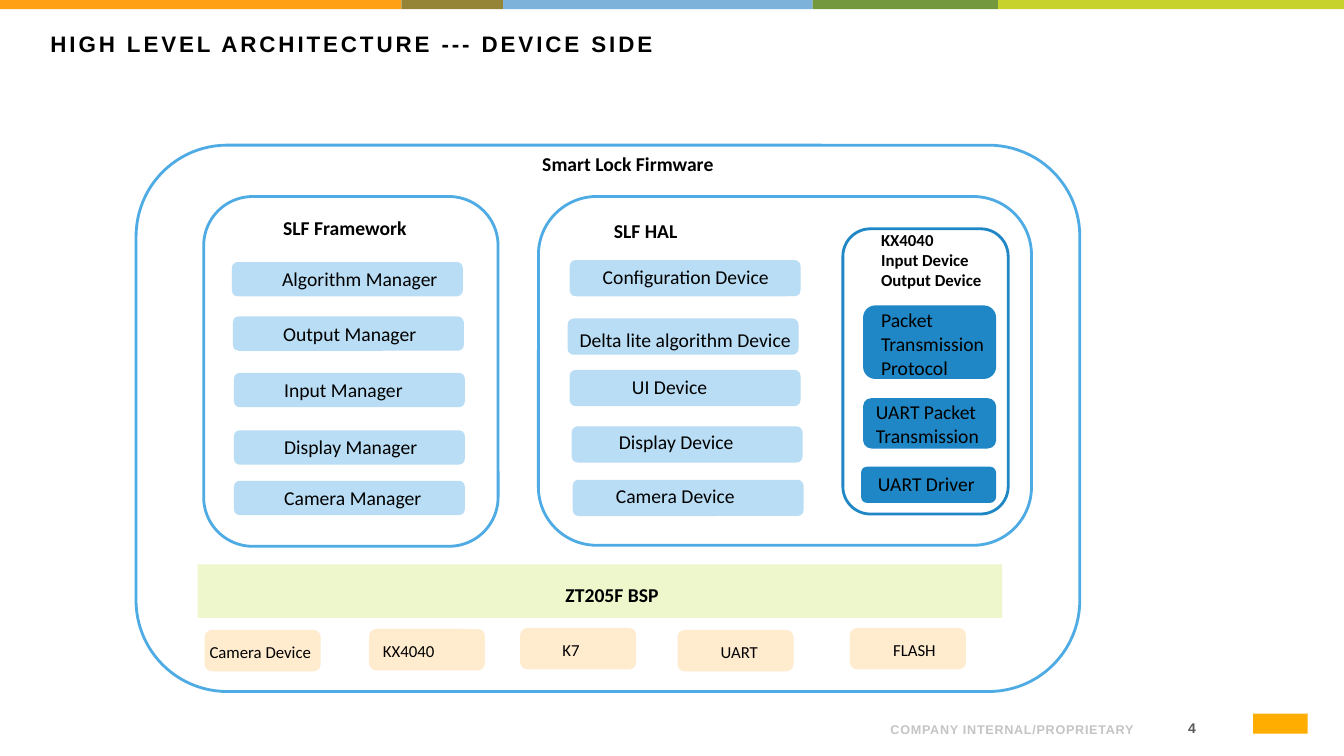
from copy import deepcopy

from pptx import Presentation
from pptx import util as u
from pptx.dml.color import RGBColor
from pptx.enum import shapes, text
from pptx.oxml.ns import qn

COLORS = {
    "black": "000000", "white": "FFFFFF", "number": "595959", "footer": "C4C4C4",
    "orange": "FFA015", "brown": "958436", "steel": "7DB2DB", "green": "73983E",
    "lime": "C7D22D", "mark": "FFAD00", "outline": "4FABE3", "deep": "2087C6",
    "sky": "B9DDF4", "peach": "FFEBCE", "pale": "EEF7CC",
}
RECT = shapes.MSO_SHAPE.RECTANGLE
ROUND = shapes.MSO_SHAPE.ROUNDED_RECTANGLE


def rgb(name):
    return RGBColor.from_string(COLORS[name])


def write(tf, content, size=14, font="Calibri", color="black", bold=False,
          align=text.PP_ALIGN.LEFT, anchor=text.MSO_ANCHOR.TOP, before=0, spacing=0):
    """Fill a text frame with one formatted paragraph; newlines become line breaks."""
    tf.word_wrap = True
    tf.auto_size = text.MSO_AUTO_SIZE.NONE
    tf.vertical_anchor = anchor
    p = tf.paragraphs[0]
    p.text = content
    p.alignment = align
    p.space_before = u.Pt(before)
    for r in p.runs:
        r.font.size, r.font.name, r.font.bold = u.Pt(size), font, bold
        r.font.color.rgb = rgb(color)
        if spacing:
            r.font._element.set("spc", str(round(spacing * 100)))
    # Line breaks take the format of the runs
    for br in p._p.findall(qn("a:br")):
        br.append(deepcopy(p.runs[0].font._element))


class Deck:
    def __init__(self):
        self.prs = Presentation()
        self.prs.slide_width, self.prs.slide_height = u.Inches(13.33), u.Inches(7.5)
        self.s = self.prs.slides.add_slide(self.prs.slide_layouts[5])

    def title(self, content, x, y, w, h):
        sp = self.s.shapes.title
        sp.left, sp.top, sp.width, sp.height = map(u.Inches, (x, y, w, h))
        write(sp.text_frame, content, size=16, font="Arial", bold=True, spacing=2.1)

    def box(self, x, y, w, h, fill=None, line=None, kind=ROUND):
        sp = self.s.shapes.add_shape(kind, *map(u.Inches, (x, y, w, h)))
        sp.shadow.inherit = False
        if fill:
            sp.fill.solid()
            sp.fill.fore_color.rgb = rgb(fill)
        else:
            sp.fill.background()
        if line:
            sp.line.color.rgb = rgb(line)
            sp.line.width = u.Pt(2)
        else:
            sp.line.fill.background()

    def label(self, content, x, y, w, h=0.45, **fmt):
        sp = self.s.shapes.add_textbox(*map(u.Inches, (x, y, w, h)))
        write(sp.text_frame, content, **{"before": 6, **fmt})
        return sp.text_frame


def build():
    d = Deck()
    d.title("HIGH LEVEL ARCHITECTURE --- DEVICE SIDE", 0.4, 0.25, 12.53, 0.72)

    # Colour band along the top
    x = 0
    for color, w in (("orange", 3.98), ("brown", 1.01), ("steel", 3.07),
                     ("green", 1.84), ("lime", 3.43)):
        d.box(x, 0, w, 0.09, color, kind=RECT)
        x += w

    # Footer, page number and plain mark
    right = text.PP_ALIGN.RIGHT
    d.label("COMPANY INTERNAL/PROPRIETARY", 8.51, 7.02, 2.83, 0.34, size=9, font="Arial",
            color="footer", bold=True, align=right, anchor=text.MSO_ANCHOR.BOTTOM,
            before=0, spacing=0.5)
    tf = d.label("4", 11.28, 7.07, 0.65, 0.3, size=10, font="Arial", color="number",
                 bold=True, align=right, anchor=text.MSO_ANCHOR.MIDDLE, before=0, spacing=3)
    tf.margin_left = tf.margin_right = u.Inches(0.07)
    tf.margin_top = tf.margin_bottom = u.Inches(0.04)
    d.box(12.43, 7.08, 0.54, 0.2, "mark", kind=RECT)

    # Firmware frame
    d.box(1.35, 1.44, 9.36, 5.42, "white", "outline")
    d.label("Smart Lock Firmware", 5.28, 1.46, 2.2, bold=True)

    # Hardware row: box left and top, text left
    for name, x, y, tx in (("Camera Device", 2.03, 6.25, 1.98), ("KX4040", 3.66, 6.24, 3.7),
                           ("K7", 5.16, 6.23, 5.48), ("UART", 6.72, 6.25, 7.05),
                           ("FLASH", 8.43, 6.23, 8.76)):
        d.box(x, y, 1.15, 0.41, "peach")
        d.label(name, tx, y + 0.07, 1.4, size=12)

    # Framework managers: box left and top
    d.box(2.02, 1.95, 2.92, 3.47, "white", "outline")
    d.label("SLF Framework", 2.71, 2.09, 1.7, bold=True)
    for name, x, y in (("Algorithm Manager", 2.3, 2.6), ("Output Manager", 2.31, 3.14),
                       ("Input Manager", 2.32, 3.7), ("Display Manager", 2.32, 4.27),
                       ("Camera Manager", 2.32, 4.77)):
        d.box(x, y, 2.29, 0.34, "sky")
        d.label(name, x + 0.4, y, 1.9)

    # HAL devices: box left and top, text left and top
    d.box(5.34, 1.95, 4.89, 3.46, "white", "outline")
    d.label("SLF HAL", 5.99, 2.12, 1.2, bold=True)
    for name, x, y, tx, ty in (("Configuration Device", 5.65, 2.58, 5.88, 2.58),
                               ("Delta lite algorithm Device", 5.63, 3.16, 5.65, 3.2),
                               ("UI Device", 5.65, 3.67, 6.17, 3.67),
                               ("Display Device", 5.67, 4.23, 6.04, 4.22),
                               ("Camera Device", 5.68, 4.76, 6.01, 4.75)):
        d.box(x, y, 2.29, 0.36, "sky")
        d.label(name, tx, ty, 2.5)

    # Board support package
    d.box(1.96, 5.6, 7.98, 0.53, "pale", kind=RECT)
    d.label("ZT205F BSP", 5.51, 5.73, 4.05, bold=True)

    # Radio chip stack: box left, top, width and height, text left and top
    d.box(8.36, 2.27, 1.64, 2.83, line="deep")
    d.label("KX4040\nInput Device\nOutput Device", 8.64, 2.23, 1.51, size=12, bold=True)
    for name, x, y, w, h, tx, ty in (
            ("Packet\nTransmission\nProtocol", 8.56, 3.03, 1.32, 0.73, 8.64, 3.01),
            ("UART Packet\nTransmission", 8.56, 3.95, 1.32, 0.5, 8.59, 3.92),
            ("UART Driver", 8.54, 4.63, 1.34, 0.36, 8.61, 4.63)):
        d.box(x, y, w, h, "deep")
        d.label(name, tx, ty, 1.4)

    d.prs.save("out.pptx")


if __name__ == "__main__":
    build()
